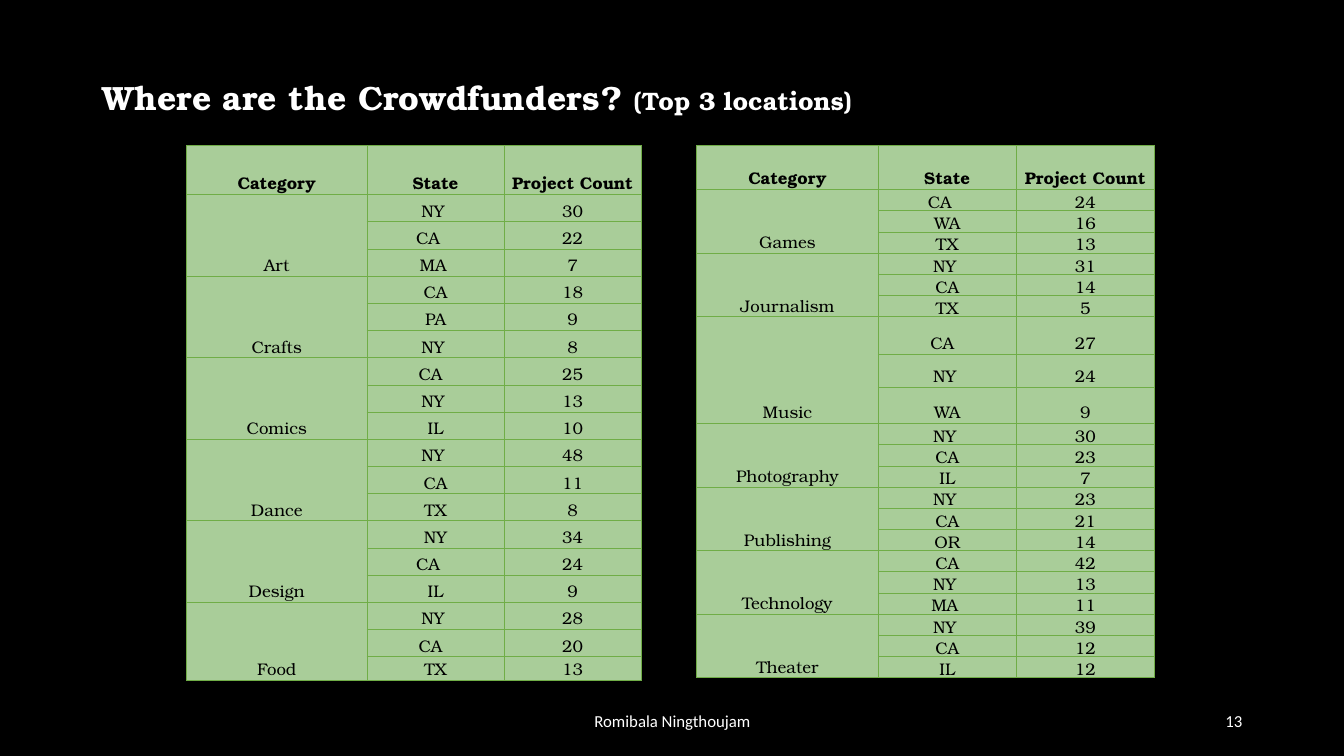
from lxml.etree import SubElement
from pptx import Presentation
from pptx.dml.color import RGBColor as RGB
from pptx.enum.text import MSO_ANCHOR as ANCHOR, PP_ALIGN as ALIGN
from pptx.oxml.ns import qn
from pptx.util import Inches, Pt

TITLE = [("Where are the Crowdfunders? ", "title"), ("(Top 3 locations)", "subtitle")]
HEADERS = ["Category", "State", "Project Count"]
# The third value of each entry is the leftward shift of the state label, in steps.
LEFT_GROUPS = [
    ("Art", [("NY", 30, 1), ("CA", 22, 3), ("MA", 7, 1)]),
    ("Crafts", [("CA", 18, 0), ("PA", 9, 0), ("NY", 8, 1)]),
    ("Comics", [("CA", 25, 2), ("NY", 13, 1), ("IL", 10, 0)]),
    ("Dance", [("NY", 48, 1), ("CA", 11, 0), ("TX", 8, 0)]),
    ("Design", [("NY", 34, 0), ("CA", 24, 3), ("IL", 9, 0)]),
    ("Food", [("NY", 28, 1), ("CA", 20, 2), ("TX", 13, 0)]),
]
RIGHT_GROUPS = [
    ("Games", [("CA", 24, 3), ("WA", 16, 0), ("TX", 13, 0)]),
    ("Journalism", [("NY", 31, 1), ("CA", 14, 0), ("TX", 5, 0)]),
    ("Music", [("CA", 27, 2), ("NY", 24, 1), ("WA", 9, 0)]),
    ("Photography", [("NY", 30, 1), ("CA", 23, 0), ("IL", 7, 0)]),
    ("Publishing", [("NY", 23, 1), ("CA", 21, 0), ("OR", 14, 0)]),
    ("Technology", [("CA", 42, 0), ("NY", 13, 1), ("MA", 11, 1)]),
    ("Theater", [("NY", 39, 1), ("CA", 12, 0), ("IL", 12, 0)]),
]
TABLES = [
    dict(groups=LEFT_GROUPS, left=1.85, cols=[1.79, 1.36, 1.36],
         rows=[0.49] + [0.27] * 17 + [0.23]),
    dict(groups=RIGHT_GROUPS, left=6.91, cols=[1.8, 1.37, 1.37],
         rows=[0.44] + [0.21] * 6 + [0.37, 0.33, 0.36] + [0.21] * 12),
]
FOOTERS = [
    ("Romibala Ningthoujam", (4.42, 6.95, 4.5, 0.4), ALIGN.CENTER),
    ("13", (9.42, 6.95, 3, 0.4), ALIGN.RIGHT),
]
TABLE_TOP = 1.44
SHIFT_STEP = 0.05
THEME = {
    "background": "000000",
    "cell": "A9CD99",
    "border": "70AD47",
    "border_width": 0.5,
    "title": dict(size=24, name="TeX Gyre Bonum", color="FFFFFF", bold=True),
    "subtitle": dict(size=18, name="TeX Gyre Bonum", color="FFFFFF", bold=True),
    "header": dict(size=12, name="TeX Gyre Bonum", color="000000", bold=True),
    "body": dict(size=12, name="TeX Gyre Bonum", color="000000", bold=False),
    "footer": dict(size=12, name="Calibri", color="FFFFFF", bold=False),
}


def add_run(p, text, style):
    r = p.add_run()
    r.text = text
    fmt = THEME[style]
    r.font.color.rgb = RGB.from_string(fmt["color"])
    for name, value in dict(size=Pt(fmt["size"]), name=fmt["name"], bold=fmt["bold"]).items():
        setattr(r.font, name, value)


def add_text(slide, box, runs, align):
    tf = slide.shapes.add_textbox(*map(Inches, box)).text_frame
    tf.word_wrap = True
    tf.vertical_anchor = ANCHOR.MIDDLE
    p = tf.paragraphs[0]
    p.alignment = align
    for text, style in runs:
        add_run(p, text, style)
    return p


def format_cell(cell):
    tc_pr = cell._tc.get_or_add_tcPr()
    for side in ("lnL", "lnR", "lnT", "lnB"):
        ln = SubElement(tc_pr, qn(f"a:{side}"), w=str(Pt(THEME["border_width"])))
        fill = SubElement(ln, qn("a:solidFill"))
        SubElement(fill, qn("a:srgbClr"), val=THEME["border"])
    cell.fill.solid()
    cell.fill.fore_color.rgb = RGB.from_string(THEME["cell"])
    margins = dict(margin_left=0.01, margin_right=0.01, margin_top=0.01, margin_bottom=0)
    for name, value in margins.items():
        setattr(cell, name, Inches(value))
    cell.vertical_anchor = ANCHOR.BOTTOM


def write_cell(cell, text, style="body", shift=0):
    p = cell.text_frame.paragraphs[0]
    p.alignment = ALIGN.CENTER
    if text:
        add_run(p, text, style)
    else:
        SubElement(p._p, qn("a:endParaRPr"), sz=str(THEME[style]["size"] * 100))
    cell.margin_right = Inches(0.01 + SHIFT_STEP * shift)


def add_count_table(slide, groups, left, cols, rows):
    frame = slide.shapes.add_table(
        len(rows), len(cols), Inches(left), Inches(TABLE_TOP),
        Inches(sum(cols)), Inches(sum(rows)))
    table = frame.table
    for col, width in zip(table.columns, cols):
        col.width = Inches(width)
    for row, height in zip(table.rows, rows):
        row.height = Inches(height)
    for cell in table.iter_cells():
        format_cell(cell)
    for c, text in enumerate(HEADERS):
        write_cell(table.cell(0, c), text, "header")
    r = 1
    for category, entries in groups:
        first = r
        for state, count, shift in entries:
            write_cell(table.cell(r, 0), category if r == first else "")
            write_cell(table.cell(r, 1), state, shift=shift)
            write_cell(table.cell(r, 2), str(count))
            r += 1
        table.cell(first, 0).merge(table.cell(r - 1, 0))


def main():
    prs = Presentation()
    prs.slide_width, prs.slide_height = Inches(13.33), Inches(7.5)
    s = prs.slides.add_slide(prs.slide_layouts[6])
    s.background.fill.solid()
    s.background.fill.fore_color.rgb = RGB.from_string(THEME["background"])
    add_text(s, (0.92, 0.4, 11.5, 1.17), TITLE, ALIGN.LEFT).line_spacing = 0.9
    for table in TABLES:
        add_count_table(s, **table)
    for text, box, align in FOOTERS:
        add_text(s, box, [(text, "footer")], align)
    prs.save("out.pptx")


if __name__ == "__main__":
    main()
